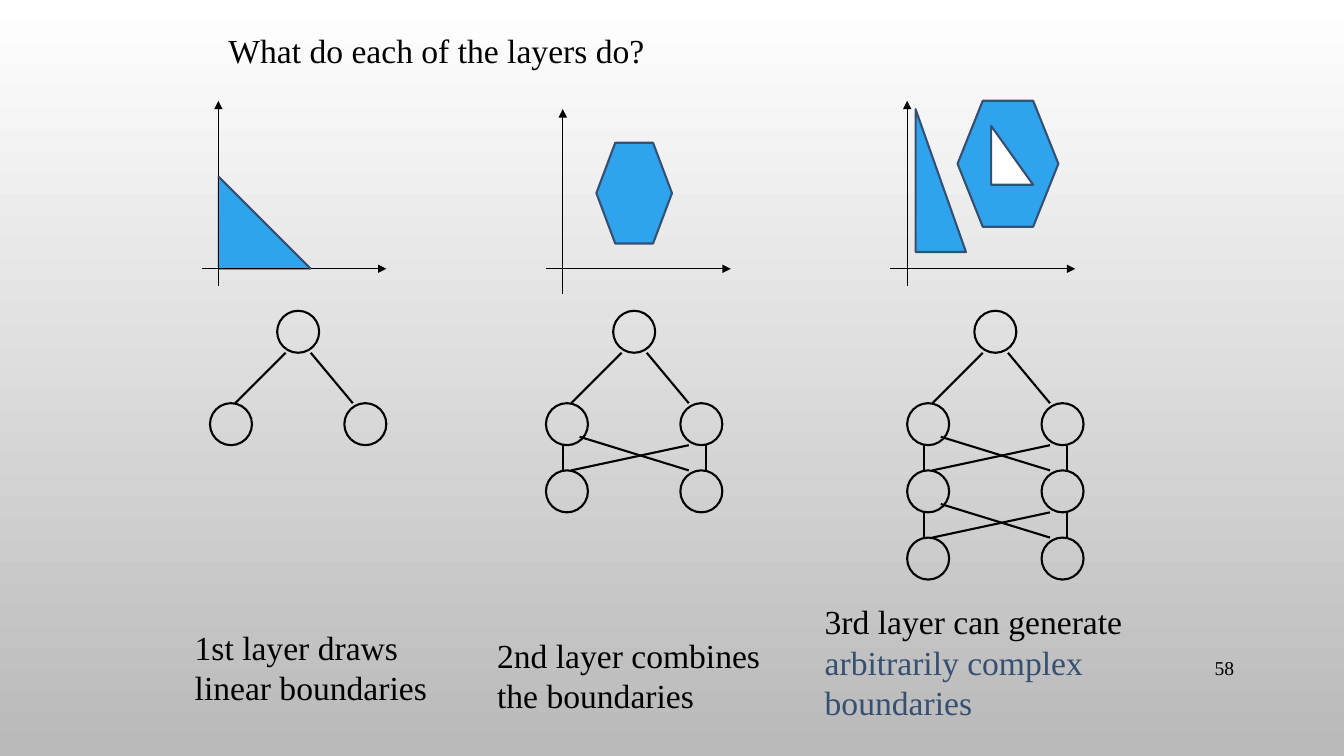
from lxml.etree import SubElement
from pptx import Presentation
from pptx.dml.color import RGBColor
from pptx.enum.shapes import MSO_CONNECTOR, MSO_SHAPE
from pptx.enum.text import MSO_ANCHOR, MSO_AUTO_SIZE, PP_ALIGN
from pptx.oxml.ns import qn
from pptx.util import Emu, Pt

PX = 9525  # 96 px to the inch
FONT = "Times New Roman"
COLORS = {"ink": "000000", "navy": "355071", "region": "2FA3EE",
          "white": "FFFFFF", "gray": "B9B9B9"}
THIN, THICK = 0.75, 1.5
NODE = 40


def color(name):
    return RGBColor.from_string(COLORS[name])


def px(*lengths):
    return [Emu(length * PX) for length in lengths]


def write(frame, *parts, size=24, align=PP_ALIGN.LEFT, anchor=MSO_ANCHOR.TOP):
    """Fill a text frame with one paragraph of (text, color) parts."""
    frame.word_wrap = True
    frame.auto_size = MSO_AUTO_SIZE.NONE
    frame.vertical_anchor = anchor
    paragraph = frame.paragraphs[0]
    paragraph.alignment = align
    for text, ink in parts:
        run = paragraph.add_run()
        run.text = text
        run.font.size = Pt(size)
        run.font.name = FONT
        run.font.color.rgb = color(ink)


class LayerSlide:
    def __init__(self, presentation):
        self.slide = presentation.slides.add_slide(presentation.slide_layouts[5])
        self.shapes = self.slide.shapes

    def background(self, top, bottom):
        fill = self.slide.background.fill
        fill.gradient()
        fill.gradient_angle = 270
        for stop, name, position in zip(fill.gradient_stops, (top, bottom), (0, 1)):
            stop.color.rgb = color(name)
            stop.position = position

    def title(self, box, text):
        title = self.shapes.title
        title.left, title.top, title.width, title.height = px(*box)
        write(title.text_frame, (text, "ink"))

    def text(self, box, *parts, **style):
        write(self.shapes.add_textbox(*px(*box)).text_frame, *parts, **style)

    def shape(self, kind, box, fill=None, line="navy", weight=THICK):
        shape = self.shapes.add_shape(kind, *px(*box))
        shape.shadow.inherit = False
        if fill:
            shape.fill.solid()
            shape.fill.fore_color.rgb = color(fill)
        else:
            shape.fill.background()
        shape.line.color.rgb = color(line)
        shape.line.width = Pt(weight)

    def line(self, start, end, ink="ink", weight=THICK, arrow=False):
        line = self.shapes.add_connector(MSO_CONNECTOR.STRAIGHT, *px(*start, *end))
        line.line.color.rgb = color(ink)
        line.line.width = Pt(weight)
        properties = line.line._get_or_add_ln()
        if arrow:
            SubElement(properties, qn("a:tailEnd"), type="triangle")
        SubElement(properties.getparent(), qn("a:effectLst"))

    def axes(self, x, bottom):
        self.line((x - 16, 256), (x + 160, 256), weight=THIN, arrow=True)
        self.line((x, bottom), (x, bottom - 176), weight=THIN, arrow=True)

    def node(self, x, y):
        self.shape(MSO_SHAPE.OVAL, (x, y, NODE, NODE), line="ink")

    def network(self, x, layers):
        self.node(x + 64, 296)
        for layer in range(layers):
            y = 384 + 64 * layer
            self.node(x, y)
            self.node(x + 128, y)
            if layer == 0:
                edges = [(24, 72, 48), (136, 96, 48)]
            else:
                edges = [(24, 136, 24), (136, 32, 32), (16, 16, 24), (152, 152, 24)]
            for start, end, rise in edges:
                self.line((x + start, y), (x + end, y - rise))


def main():
    presentation = Presentation()
    presentation.slide_width, presentation.slide_height = px(1280, 720)
    page = LayerSlide(presentation)
    page.background("white", "gray")
    page.title((208, 24, 896, 48), "What do each of the layers do?")

    # Axes and networks, one more layer in each column
    columns = [(208, 272, 200), (536, 280, 520), (864, 272, 864)]
    for layers, (origin, axis_bottom, network_left) in enumerate(columns, 1):
        page.axes(origin, axis_bottom)
        page.network(network_left, layers)

    # Decision regions
    triangle, hexagon = MSO_SHAPE.RIGHT_TRIANGLE, MSO_SHAPE.HEXAGON
    page.shape(triangle, (208, 168, 88, 88), "region", line="ink", weight=THIN)
    page.line((208, 168), (296, 256), ink="navy")
    page.shape(hexagon, (568, 136, 72, 96), "region")
    page.shape(hexagon, (912, 96, 96, 120), "region")
    page.shape(triangle, (872, 104, 48, 136), "region")
    page.shape(triangle, (944, 120, 40, 56), "white")

    # Captions
    page.text((176, 592, 274, 87), ("1st layer draws linear boundaries", "ink"))
    page.text((464, 600, 296, 120), ("2nd layer combines the boundaries", "ink"))
    page.text((776, 568, 344, 126), ("3rd layer can generate ", "ink"),
              ("arbitrarily complex boundaries", "navy"))

    # Page number
    page.text((1104, 617, 81, 38), ("58", "ink"), size=14,
              align=PP_ALIGN.RIGHT, anchor=MSO_ANCHOR.MIDDLE)

    presentation.save("out.pptx")


if __name__ == "__main__":
    main()
